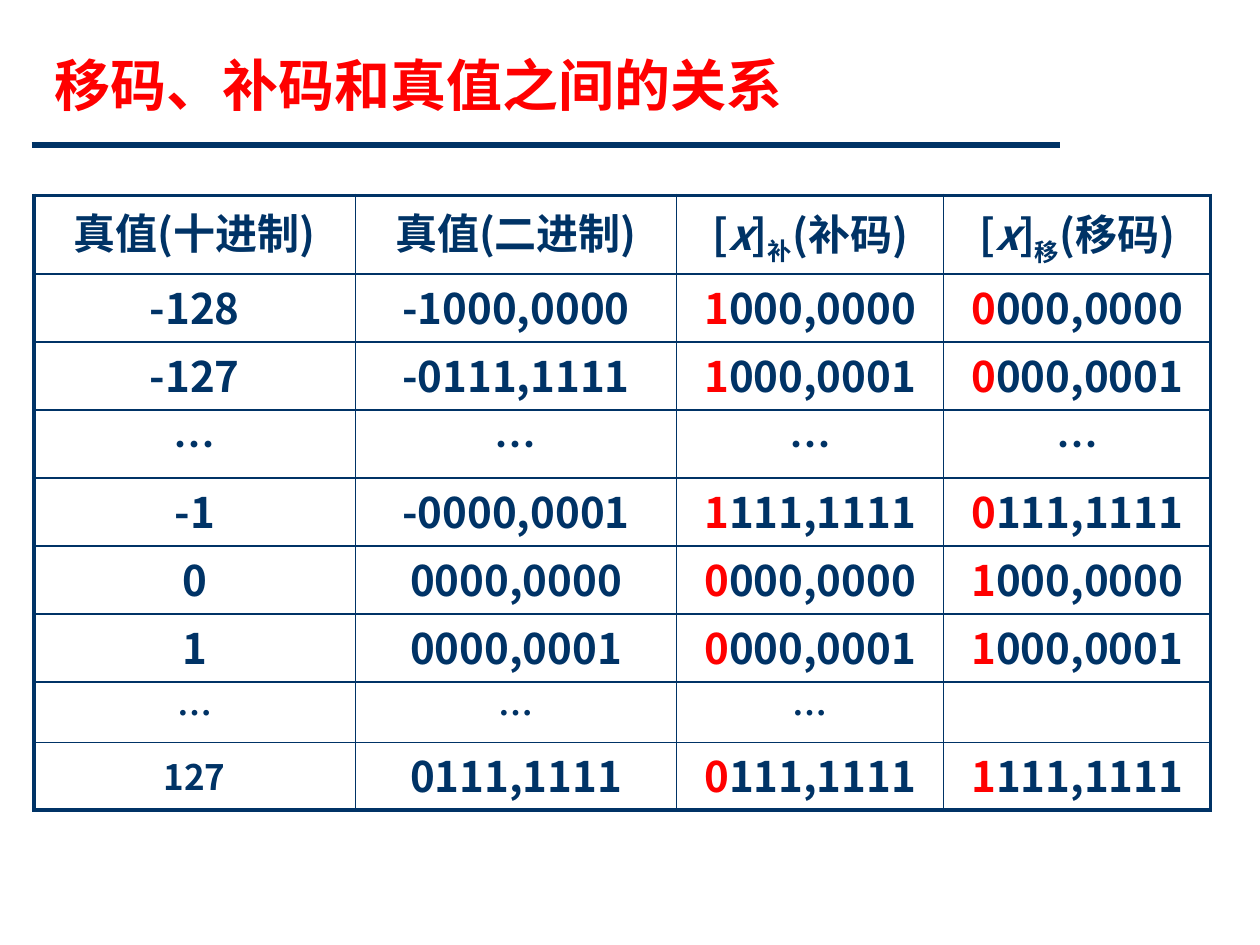
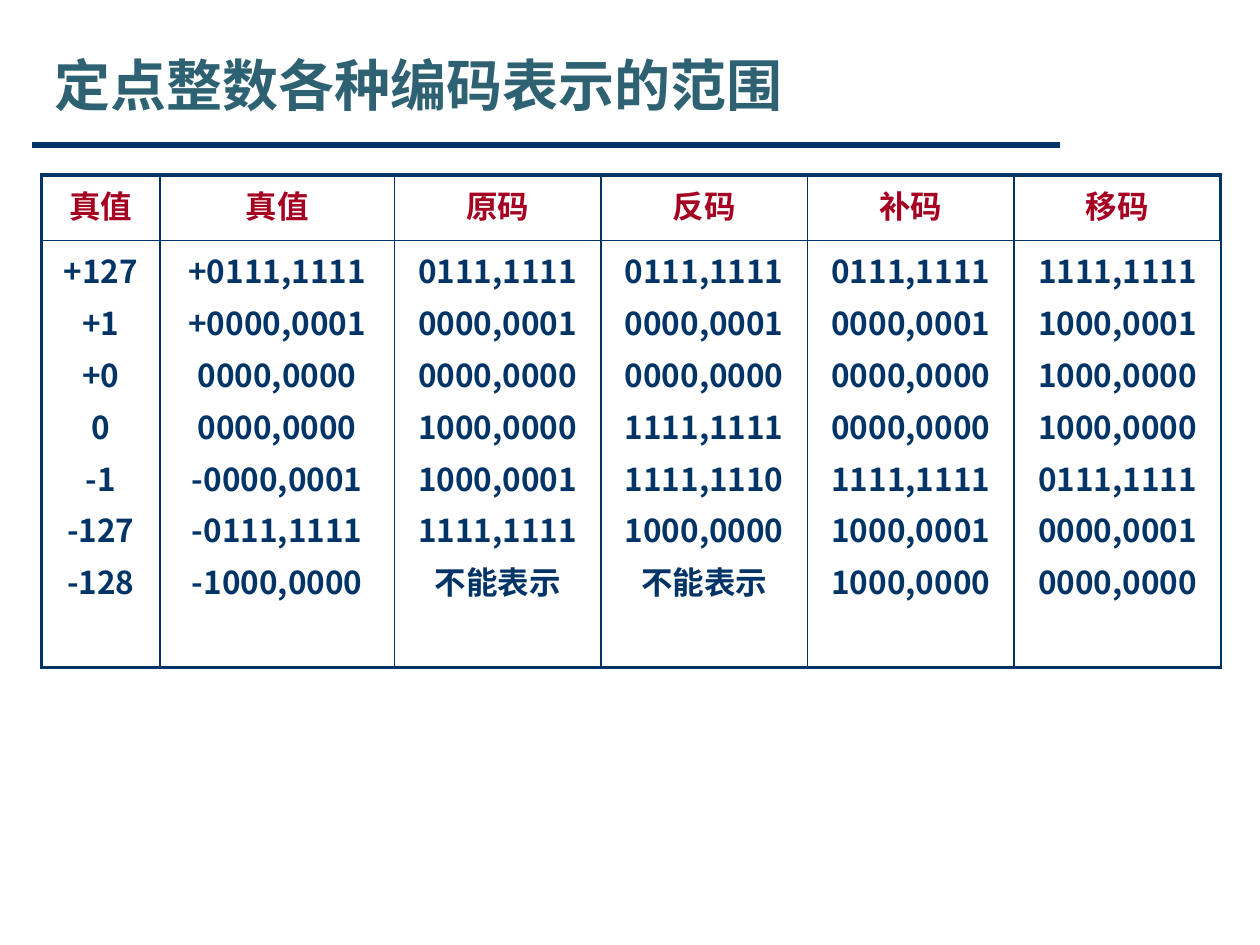
import pptx
import pptx.dml.color
import pptx.enum.shapes
import pptx.enum.text
import pptx.oxml
import pptx.oxml.ns
import pptx.util
import lxml.etree

Inches = pptx.util.Inches
Pt = pptx.util.Pt
RGBColor = pptx.dml.color.RGBColor
ANCHOR = pptx.enum.text.MSO_ANCHOR
ALIGN = pptx.enum.text.PP_ALIGN
qn = pptx.oxml.ns.qn

NAVY = RGBColor(0x00, 0x33, 0x66)
RED = RGBColor(0xFF, 0x00, 0x00)
TEAL = RGBColor(0x2E, 0x62, 0x72)
CRIMSON = RGBColor(0xA5, 0x00, 0x21)
FONT = "Noto Sans CJK SC"
FRAME_WIDTH = 2.25
GRID_WIDTH = 1
SUBSCRIPT = {"baseline": "-25000"}


class Deck:
    def __init__(self):
        self.presentation = pptx.Presentation()
        self.presentation.slide_width = Inches(10)
        self.presentation.slide_height = Inches(7.5)
        self.slide = None

    def add_slide(self, title, color):
        self.slide = self.presentation.slides.add_slide(self.presentation.slide_layouts[5])
        self.add_rule()
        self.format_title(title, color)

    def add_rule(self):
        rule = self.slide.shapes.add_connector(
            pptx.enum.shapes.MSO_CONNECTOR.STRAIGHT,
            Inches(0.25), Inches(1.15), Inches(8.41), Inches(1.15))
        rule.line.color.rgb = NAVY
        rule.line.width = Pt(3)
        lxml.etree.SubElement(rule._element.spPr, qn("a:effectLst"))

    def format_title(self, text, color):
        title = self.slide.shapes.title
        title.left, title.top = Inches(0.33), Inches(0.42)
        title.width, title.height = Inches(9.34), Inches(0.81)
        frame = title.text_frame
        frame.auto_size = pptx.enum.text.MSO_AUTO_SIZE.NONE
        frame.vertical_anchor = ANCHOR.TOP
        paragraph = frame.paragraphs[0]
        paragraph.alignment = ALIGN.LEFT
        paragraph.line_spacing = 0.87
        self.add_run(paragraph, text, 32, color)

    def add_run(self, paragraph, text, size, color, baseline=None, **formats):
        run = paragraph.add_run()
        run.text = text
        values = {"name": FONT, "size": Pt(size), "bold": True, **formats}
        for name, value in values.items():
            setattr(run.font, name, value)
        run.font.color.rgb = color
        properties = run._r.get_or_add_rPr()
        lxml.etree.SubElement(properties, qn("a:ea"), typeface=FONT)
        if baseline:
            properties.set("baseline", baseline)

    def add_table(self, left, top, widths, heights):
        shape = self.slide.shapes.add_table(
            len(heights), len(widths), Inches(left), Inches(top),
            Inches(sum(widths)), Inches(sum(heights)))
        table = shape.table
        table.first_row = table.horz_banding = False
        for column, width in zip(table.columns, widths):
            column.width = Inches(width)
        for row, height in zip(table.rows, heights):
            row.height = Inches(height)
        return table

    def fill_cell(self, cell, paragraphs, size, color, line_spacing=None, anchor=ANCHOR.TOP):
        cell.vertical_anchor = anchor
        frame = cell.text_frame
        for index, runs in enumerate(paragraphs):
            paragraph = frame.add_paragraph() if index else frame.paragraphs[0]
            values = {"alignment": ALIGN.CENTER, "space_before": Pt(size * 0.2),
                      "line_spacing": line_spacing}
            for name, value in values.items():
                setattr(paragraph, name, value)
            for text, formats in runs:
                self.add_run(paragraph, text, **{"size": size, "color": color, **formats})

    def border_table(self, table, thin_right_rows=()):
        last_row, last_column = len(table.rows) - 1, len(table.columns) - 1
        for row in range(last_row + 1):
            for column in range(last_column + 1):
                cell = table.cell(row, column)
                framed = {
                    "lnL": column == 0,
                    "lnR": column == last_column and row not in thin_right_rows,
                    "lnT": row == 0,
                    "lnB": row == last_row,
                }
                for side, is_frame in framed.items():
                    self.add_border(cell, side, FRAME_WIDTH if is_frame else GRID_WIDTH)
                cell.fill.background()

    def add_border(self, cell, side, width):
        properties = cell._tc.get_or_add_tcPr()
        line = lxml.etree.SubElement(properties, qn(f"a:{side}"), w=str(Pt(width)))
        fill = lxml.etree.SubElement(line, qn("a:solidFill"))
        lxml.etree.SubElement(fill, qn("a:srgbClr"), val=str(NAVY))


def plain(text):
    return [(text, {})]


def sign_marked(code):
    if code in ("", "…"):
        return plain(code)
    return [(code[0], {"color": RED}), (code[1:], {})]


def code_heading(subscript, label):
    return [("[", {}), ("x", {"italic": True}), ("]", {}), (subscript, SUBSCRIPT), (label, {})]


def add_relation_slide(deck):
    deck.add_slide("移码、补码和真值之间的关系", RED)
    headings = [plain("真值(十进制)"), plain("真值(二进制)"),
                code_heading("补", "(补码)"), code_heading("移", "(移码)")]
    rows = [
        ("-128", "-1000,0000", "1000,0000", "0000,0000"),
        ("-127", "-0111,1111", "1000,0001", "0000,0001"),
        ("…", "…", "…", "…"),
        ("-1", "-0000,0001", "1111,1111", "0111,1111"),
        ("0", "0000,0000", "0000,0000", "1000,0000"),
        ("1", "0000,0001", "0000,0001", "1000,0001"),
        ("…", "…", "…", ""),
        ("127", "0111,1111", "0111,1111", "1111,1111"),
    ]
    small_cells = {(7, 0), (7, 1), (7, 2), (8, 0)}
    table = deck.add_table(0.27, 1.55, [2.55] * 2 + [2.12] * 2,
                           [0.59] + [0.54] * 6 + [0.48] * 2)
    for column, heading in enumerate(headings):
        deck.fill_cell(table.cell(0, column), [heading], 24, NAVY,
                       None if column == 2 else 0.8, ANCHOR.MIDDLE)
    for row, values in enumerate(rows, start=1):
        for column, value in enumerate(values):
            if value:
                runs = sign_marked(value) if column >= 2 else plain(value)
                size = 20 if (row, column) in small_cells else 24
                deck.fill_cell(table.cell(row, column), [runs], size, NAVY, 0.9, ANCHOR.MIDDLE)
    deck.border_table(table)


def add_range_slide(deck):
    deck.add_slide("定点整数各种编码表示的范围", TEAL)
    headings = ("真值", "真值", "原码", "反码", "补码", "移码")
    rows = [
        ("+127", "+0111,1111", "0111,1111", "0111,1111", "0111,1111", "1111,1111"),
        ("+1", "+0000,0001", "0000,0001", "0000,0001", "0000,0001", "1000,0001"),
        ("+0", "0000,0000", "0000,0000", "0000,0000", "0000,0000", "1000,0000"),
        ("0", "0000,0000", "1000,0000", "1111,1111", "0000,0000", "1000,0000"),
        ("-1", "-0000,0001", "1000,0001", "1111,1110", "1111,1111", "0111,1111"),
        ("-127", "-0111,1111", "1111,1111", "1000,0000", "1000,0001", "0000,0001"),
        ("-128", "-1000,0000", "不能表示", "不能表示", "1000,0000", "0000,0000"),
    ]
    table = deck.add_table(0.33, 1.39, [0.94, 1.86] + [1.64] * 4, [0.52, 3.39])
    for column, (heading, values) in enumerate(zip(headings, zip(*rows))):
        deck.fill_cell(table.cell(0, column), [plain(heading)], 18, CRIMSON)
        deck.fill_cell(table.cell(1, column), [plain(value) for value in values], 18, NAVY)
    deck.border_table(table, thin_right_rows=(1,))


def main():
    deck = Deck()
    add_relation_slide(deck)
    add_range_slide(deck)
    deck.presentation.save("out.pptx")


if __name__ == "__main__":
    main()
